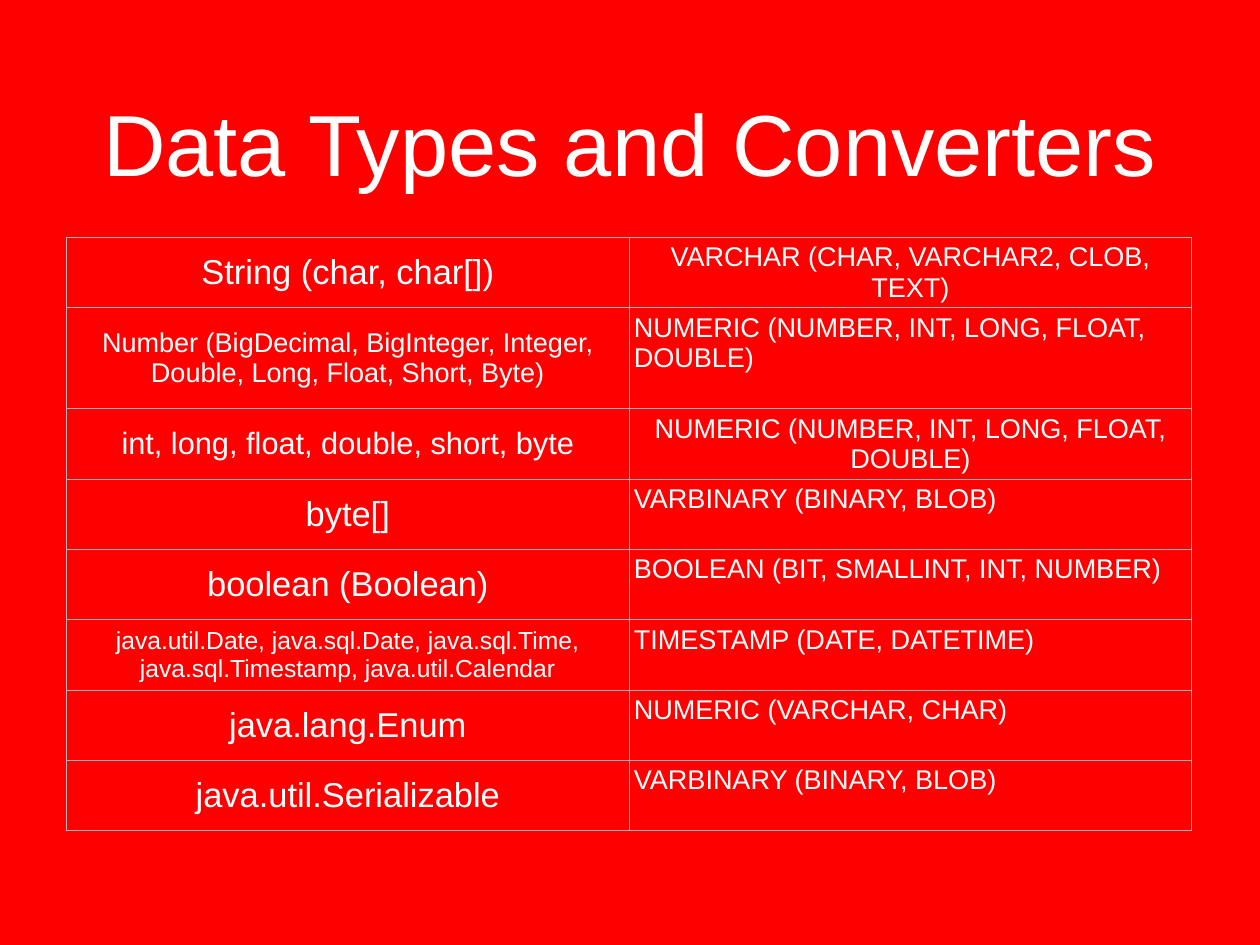
import dataclasses

import lxml.etree
import pptx
import pptx.dml.color
import pptx.enum.text
import pptx.oxml.ns
import pptx.slide
import pptx.table
import pptx.text.text
import pptx.util

Pt = pptx.util.Pt
Align = pptx.enum.text.PP_ALIGN
Anchor = pptx.enum.text.MSO_ANCHOR

HUES = {"back": "FF0000", "text": "FFFFFF", "rule": "B4B4B4"}
FACE = "Arial"
INSET = 4


@dataclasses.dataclass(frozen=True)
class Pair:
    java: str
    size: float
    sql: str
    middle: bool = False
    height: float = 57.2


PAIRS = [
    Pair("String (char, char[])", 28,
         "VARCHAR (CHAR, VARCHAR2, CLOB, TEXT)", middle=True),
    Pair("Number (BigDecimal, BigInteger, Integer, Double, Long, Float, Short, Byte)", 22,
         "NUMERIC (NUMBER, INT, LONG, FLOAT, DOUBLE)", height=82),
    Pair("int, long, float, double, short, byte", 25,
         "NUMERIC (NUMBER, INT, LONG, FLOAT, DOUBLE)", middle=True),
    Pair("byte[]", 28, "VARBINARY (BINARY, BLOB)"),
    Pair("boolean (Boolean)", 28, "BOOLEAN (BIT, SMALLINT, INT, NUMBER)"),
    Pair("java.util.Date, java.sql.Date, java.sql.Time, "
         "java.sql.Timestamp, java.util.Calendar", 20,
         "TIMESTAMP (DATE, DATETIME)"),
    Pair("java.lang.Enum", 28, "NUMERIC (VARCHAR, CHAR)"),
    Pair("java.util.Serializable", 28, "VARBINARY (BINARY, BLOB)"),
]


def tint(name: str) -> pptx.dml.color.RGBColor:
    return pptx.dml.color.RGBColor.from_string(HUES[name])


def write(frame: pptx.text.text.TextFrame, text: str, size: float, align: Align) -> None:
    frame.text = text
    para = frame.paragraphs[0]
    para.alignment = align
    para.font.name = FACE
    para.font.size = Pt(size)
    para.font.bold = False
    para.font.color.rgb = tint("text")


def border(cell: pptx.table._Cell) -> None:
    qn = pptx.oxml.ns.qn
    props = cell._tc.get_or_add_tcPr()
    for side in ("lnL", "lnR", "lnT", "lnB"):
        line = lxml.etree.SubElement(props, qn(f"a:{side}"), w=str(Pt(1)))
        fill = lxml.etree.SubElement(line, qn("a:solidFill"))
        lxml.etree.SubElement(fill, qn("a:srgbClr"), val=HUES["rule"])


def fill_cell(cell: pptx.table._Cell, text: str, size: float, middle: bool) -> None:
    border(cell)
    cell.fill.background()
    cell.margin_left = cell.margin_right = Pt(INSET)
    cell.margin_top = cell.margin_bottom = Pt(INSET)
    cell.vertical_anchor = Anchor.MIDDLE if middle else Anchor.TOP
    write(cell.text_frame, text, size, Align.CENTER if middle else Align.LEFT)


def add_title(slide: pptx.slide.Slide) -> None:
    title = slide.shapes.title
    title.left, title.top = Pt(75), Pt(31.7)
    title.width, title.height = Pt(874), Pt(167)
    frame = title.text_frame
    frame.margin_left = frame.margin_right = Pt(0)
    frame.margin_top = frame.margin_bottom = Pt(0)
    frame.vertical_anchor = Anchor.MIDDLE
    frame.auto_size = pptx.enum.text.MSO_AUTO_SIZE.NONE
    frame.word_wrap = True
    write(frame, "Data Types and Converters", 70.4, Align.CENTER)


def add_types(slide: pptx.slide.Slide) -> None:
    total = sum(pair.height for pair in PAIRS)
    table = slide.shapes.add_table(
        len(PAIRS), 2, Pt(54), Pt(192.9), Pt(914.4), Pt(total)).table
    table.first_row = False
    table.horz_banding = False
    for row, pair in zip(table.rows, PAIRS):
        row.height = Pt(pair.height)
        fill_cell(row.cells[0], pair.java, pair.size, True)
        fill_cell(row.cells[1], pair.sql, 22, pair.middle)


def main() -> None:
    deck = pptx.Presentation()
    deck.slide_width, deck.slide_height = Pt(1024), Pt(768)
    slide = deck.slides.add_slide(deck.slide_layouts[5])
    slide.background.fill.solid()
    slide.background.fill.fore_color.rgb = tint("back")
    add_title(slide)
    add_types(slide)
    deck.save("out.pptx")


if __name__ == "__main__":
    main()
